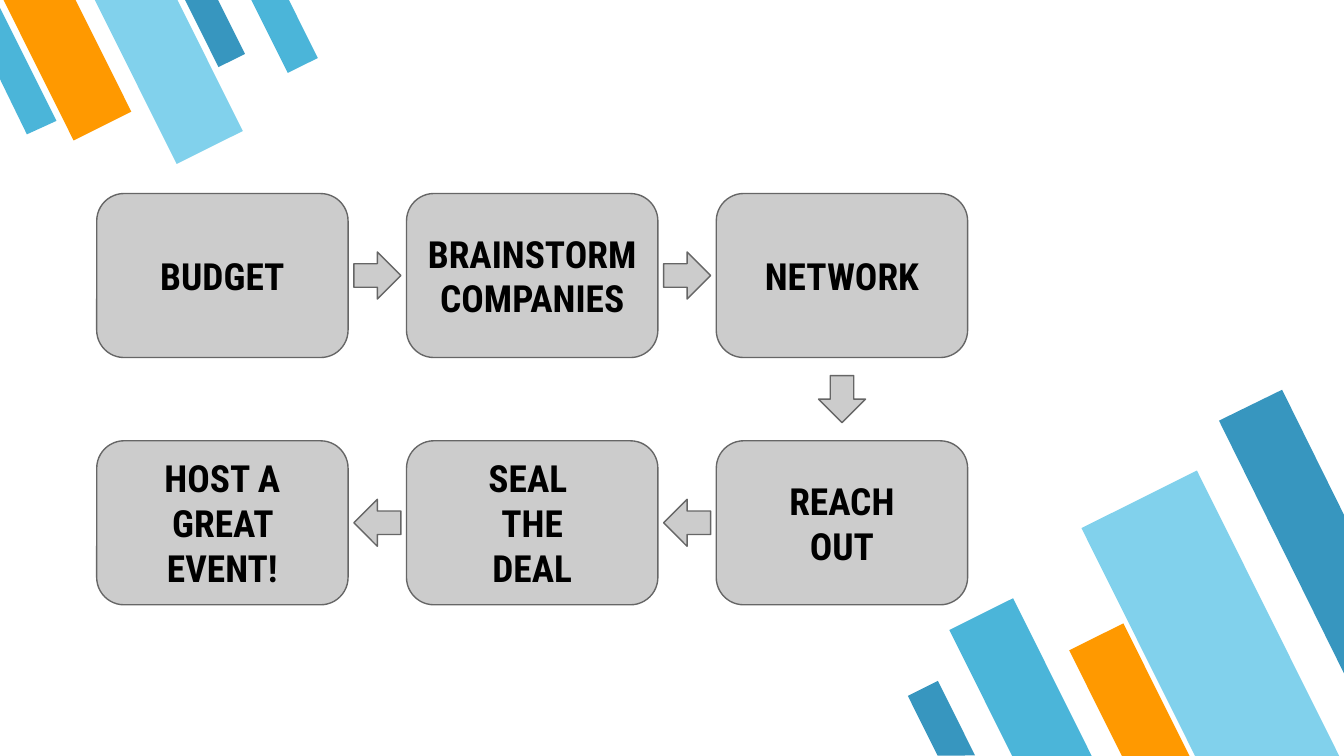
"""Build a six-step event planning flow between two sets of slanted stripes."""
from pptx import Presentation
from pptx.dml.color import RGBColor
from pptx.enum.shapes import MSO_SHAPE
from pptx.enum.text import MSO_ANCHOR, PP_ALIGN
from pptx.util import Inches, Pt

BAR = MSO_SHAPE.FLOWCHART_MANUAL_INPUT
BOX = MSO_SHAPE.ROUNDED_RECTANGLE
ARROWS = {
    (1, 0): (MSO_SHAPE.RIGHT_ARROW),
    (-1, 0): (MSO_SHAPE.LEFT_ARROW),
    (0, 1): (MSO_SHAPE.DOWN_ARROW),
}
MIDDLE, CENTER = MSO_ANCHOR.MIDDLE, PP_ALIGN.CENTER

THEME = {
    "sky": "81D1EC", "aqua": "4BB5D9", "blue": "3796BF", "gold": "FF9900",
    "box": "CCCCCC", "edge": "666666", "ink": "000000",
    "font": "Roboto Condensed", "size": 20, "line": 0.75,
}

STEPS = [
    (0, 0, ["BUDGET"]),
    (1, 0, ["BRAINSTORM COMPANIES"]),
    (2, 0, ["NETWORK"]),
    (2, 1, ["REACH", "OUT"]),
    (1, 1, ["SEAL ", "THE", "DEAL"]),
    (0, 1, ["HOST A", "GREAT EVENT!"]),
]

STRIPES = [
    (153.5, [
        ("aqua", 7.33, 4.5, 0.53, 1.32),
        ("sky", 8.53, 3.59, 0.96, 2.39),
        ("gold", 8.18, 4.68, 0.45, 1.11),
        ("blue", 6.88, 5.09, 0.25, 0.62),
    ]),
    (333.5, [
        ("blue", 1.49, -0.08, 0.22, 0.56),
        ("gold", 0.26, -0.18, 0.48, 1.18),
        ("sky", 0.98, -0.2, 0.55, 1.37),
        ("aqua", 1.99, -0.1, 0.25, 0.62),
    ]),
]
EDGES = [
    ("blue", [(9.54, 2.9), (9.07, 3.13), (10, 5.01), (10, 3.83)]),
    ("aqua", [(0.2, 1), (0.42, 0.9), (0, 0.06), (0, 0.59)]),
]

WIDE = 10
HIGH = WIDE * 9 / 16
LEFT, RIGHT, TOP = 0.72, 7.2, 1.44
BOX_W, BOX_H = 1.87, 1.22
STEP_X, STEP_Y = (RIGHT - LEFT - BOX_W) / 2, 1.84
ARROW = 0.35
INSET = 0.1


def color(name):
    return RGBColor.from_string(THEME[name])


def paint(shape, fill, edge=None):
    shape.shadow.inherit = False
    shape.fill.solid()
    shape.fill.fore_color.rgb = color(fill)
    if edge:
        shape.line.color.rgb = color(edge)
        shape.line.width = Pt(THEME["line"])
    else:
        shape.line.fill.background()


def add(slide, kind, x, y, w, h, fill, edge=None):
    shape = slide.shapes.add_shape(kind, *map(Inches, (x, y, w, h)))
    paint(shape, fill, edge)
    return shape


def write(shape, lines):
    frame = shape.text_frame
    frame.word_wrap = True
    frame.vertical_anchor = MIDDLE
    frame.margin_left = frame.margin_right = Inches(INSET)
    frame.margin_top = frame.margin_bottom = Inches(INSET)
    frame.text = "\n".join(lines)
    for para in frame.paragraphs:
        para.alignment = CENTER
        para.font.name = THEME["font"]
        para.font.size = Pt(THEME["size"])
        para.font.bold = True
        para.font.color.rgb = color("ink")


def draw_stripes(slide):
    for (angle, bars), (fill, points) in zip(STRIPES, EDGES):
        for name, *place in bars:
            bar = add(slide, BAR, *place, name)
            bar.rotation = angle
            bar._element.spPr.xfrm.set("flipH", "1")
        first, *rest = [(Inches(x), Inches(y)) for x, y in points]
        pen = slide.shapes.build_freeform(*first)
        pen.add_line_segments(rest)
        paint(pen.convert_to_shape(), fill)


def draw_flow(slide):
    mids = []
    for col, row, lines in STEPS:
        x, y = LEFT + col * STEP_X, TOP + row * STEP_Y
        write(add(slide, BOX, x, y, BOX_W, BOX_H, "box", "edge"), lines)
        mids.append((x + BOX_W / 2, y + BOX_H / 2))
    for i, (here, there) in enumerate(zip(STEPS, STEPS[1:])):
        kind = ARROWS[there[0] - here[0], there[1] - here[1]]
        x, y = [(a + b - ARROW) / 2 for a, b in zip(mids[i], mids[i + 1])]
        x, y = [(a + b) / 2 - ARROW / 2 for a, b in zip(mids[i], mids[i + 1])]
        add(slide, kind, x, y, ARROW, ARROW, "box", "edge")


def main():
    deck = Presentation()
    deck.slide_width, deck.slide_height = Inches(WIDE), Inches(HIGH)
    slide = deck.slides.add_slide(deck.slide_layouts[6])
    draw_stripes(slide)
    draw_flow(slide)
    deck.save("out.pptx")


if __name__ == "__main__":
    main()
